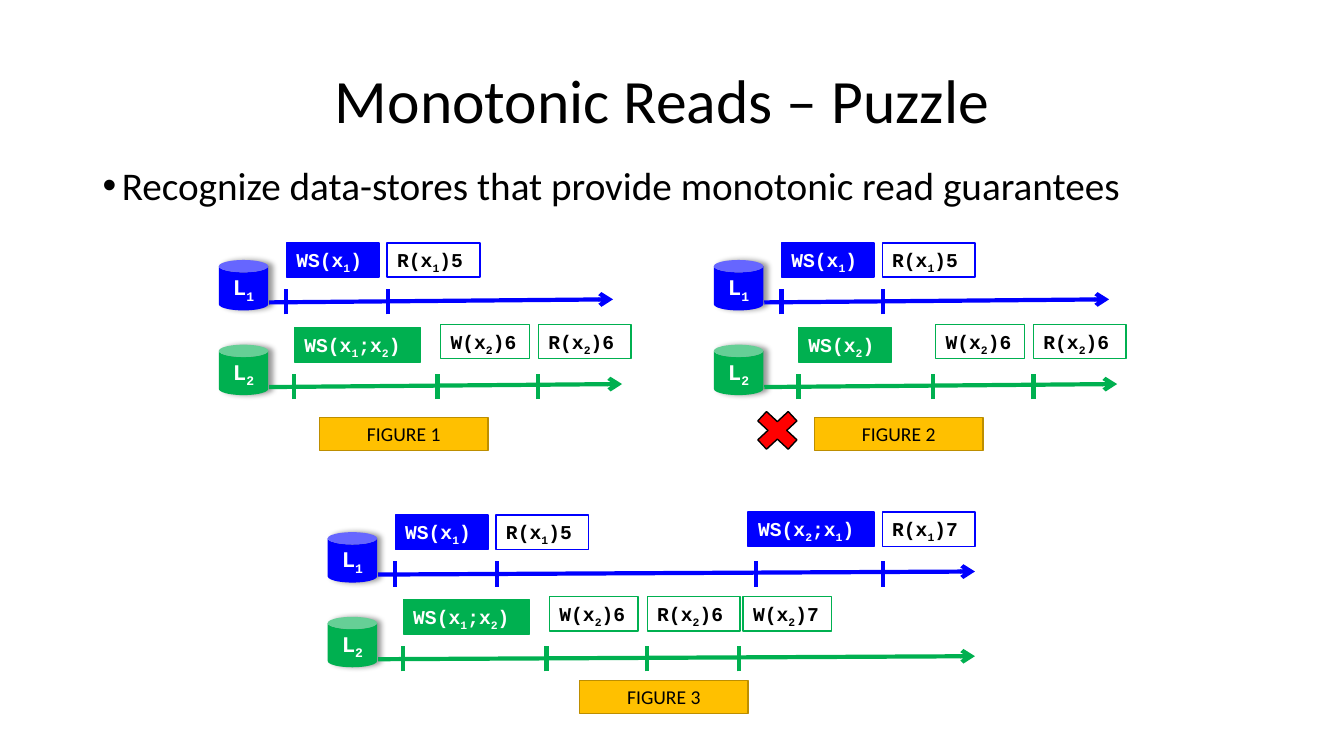
import pptx
import pptx.dml.color
import pptx.enum.shapes
import pptx.enum.text
import pptx.oxml.ns
import pptx.util
from lxml import etree
from pptx.dml.color import RGBColor
from pptx.enum.shapes import MSO_SHAPE
from pptx.util import Inches

BLUE = RGBColor(0x00, 0x00, 0xFF)
GREEN = RGBColor(0x00, 0xB0, 0x50)
GOLD = RGBColor(0xFF, 0xC0, 0x00)
DARK_GOLD = RGBColor(0xBD, 0x8E, 0x00)
RED = RGBColor(0xFF, 0x00, 0x00)
BLACK = RGBColor(0x00, 0x00, 0x00)
WHITE = RGBColor(0xFF, 0xFF, 0xFF)

# Each operation: label ("_" marks a subscript digit), box offset, tick offset
L1_START = [("WS(x_1)", 0.67, 0.67), ("R(x_1)5", 1.67, 1.68)]
L2_END = [("W(x_2)6", 2.2, 2.17), ("R(x_2)6", 3.17, 3.17)]
L2_MERGED = [("WS(x_1;x_2)", 0.75, 0.75)] + L2_END
L2_ALONE = [("WS(x_2)", 0.84, 0.84)] + L2_END
L1_LATE = [("WS(x_2;x_1)", 4.17, 4.25), ("R(x_1)7", 5.5, 5.51)]
L2_LATE = [("W(x_2)7", 4.12, 4.08)]

# Each figure: left, top, L1 operations and arrow end, L2 operations and
# arrow end, caption left and top
FIGURES = [
    (2.17, 2.58, L1_START, 3.91, L2_MERGED, 4.0, 3.17, 4.14),
    (7.08, 2.58, L1_START, 3.92, L2_ALONE, 4.0, 8.08, 4.14),
    (3.25, 5.28, L1_START + L1_LATE, 6.42, L2_MERGED + L2_LATE, 6.42, 5.75, 6.75),
]
ROW_GAP = 0.84


def add_xml(parent, tag, **attributes):
    return etree.SubElement(parent, pptx.oxml.ns.qn(tag), attributes)


def style_span(span, size, font, color, bold=False):
    span.font.size = pptx.util.Pt(size)
    span.font.name = font
    span.font.color.rgb = color
    span.font.bold = bold


def add_text_box(slide, text, left, top, width, height, size):
    box = slide.shapes.add_textbox(Inches(left), Inches(top), Inches(width), Inches(height))
    box.text_frame.word_wrap = True
    para = box.text_frame.paragraphs[0]
    para.text = text
    para.line_spacing = 0.9
    style_span(para.runs[0], size, "Calibri", BLACK)
    return box


def add_block(shapes, kind, left, top, width, height, fill, line=None):
    block = shapes.add_shape(kind, Inches(left), Inches(top), Inches(width), Inches(height))
    block.shadow.inherit = False
    block.fill.solid()
    block.fill.fore_color.rgb = fill
    if line is None:
        block.line.fill.background()
    else:
        block.line.color.rgb = line
        block.line.width = pptx.util.Pt(1)
    return block


def write_label(block, label, size, color):
    """Write a label in which each digit after "_" is a subscript."""
    para = block.text_frame.paragraphs[0]
    first, *rest = label.split("_")
    parts = [(first, False)]
    for piece in rest:
        parts += [(piece[0], True), (piece[1:], False)]
    for text, lowered in parts:
        if text:
            span = para.add_run()
            span.text = text
            style_span(span, size, "Courier New", color, bold=True)
            if lowered:
                span.font._element.set("baseline", "-25000")
    return para


def add_line(shapes, x1, y1, x2, y2, color, arrow=False):
    line = shapes.add_connector(
        pptx.enum.shapes.MSO_CONNECTOR.STRAIGHT, Inches(x1), Inches(y1), Inches(x2), Inches(y2))
    line.line.color.rgb = color
    line.line.width = pptx.util.Pt(3)
    if arrow:
        add_xml(line.line._get_or_add_ln(), "a:tailEnd", type="arrow")
    add_xml(line._element.spPr, "a:effectLst")


def add_store(shapes, name, left, top, color):
    can = add_block(shapes, MSO_SHAPE.CAN, left, top, 0.49, 0.5, color)
    effects = can._element.spPr.find(pptx.oxml.ns.qn("a:effectLst"))
    shadow = add_xml(effects, "a:outerShdw", blurRad=str(pptx.util.Pt(4)),
                     dist=str(pptx.util.Pt(3)), dir="0", algn="l", rotWithShape="0")
    shade = add_xml(shadow, "a:srgbClr", val="000000")
    add_xml(shade, "a:alpha", val="40000")
    can.text_frame.vertical_anchor = pptx.enum.text.MSO_ANCHOR.MIDDLE
    para = write_label(can, name, 16, WHITE)
    para.alignment = pptx.enum.text.PP_ALIGN.CENTER


def add_operation(shapes, label, left, top, color):
    is_write_set = label.startswith("WS")
    width = 1.25 if ";" in label else 0.88 if label.startswith("W(") else 0.92
    box = add_block(shapes, MSO_SHAPE.RECTANGLE, left, top, width, 0.34,
                    color if is_write_set else WHITE, color)
    box.text_frame.vertical_anchor = pptx.enum.text.MSO_ANCHOR.TOP
    para = write_label(box, label, 14, WHITE if is_write_set else BLACK)
    para.alignment = pptx.enum.text.PP_ALIGN.LEFT


def add_timeline(shapes, name, left, top, color, operations, end):
    add_store(shapes, name, left, top, color)
    add_line(shapes, left + 0.5, top + 0.42, left + end, top + 0.39, color, arrow=True)
    for label, offset, tick in operations:
        # Later operations sit slightly higher, following the slanted arrow
        rise = 0.17 if offset < 2 else 0.2
        add_operation(shapes, label, left + offset, top - rise, color)
        add_line(shapes, left + tick, top + 0.54, left + tick, top + 0.29, color)


def add_caption(shapes, text, left, top):
    caption = add_block(shapes, MSO_SHAPE.RECTANGLE, left, top, 1.67, 0.33, GOLD, DARK_GOLD)
    caption.text_frame.vertical_anchor = pptx.enum.text.MSO_ANCHOR.MIDDLE
    para = caption.text_frame.paragraphs[0]
    para.text = text
    para.alignment = pptx.enum.text.PP_ALIGN.CENTER
    style_span(para.runs[0], 14, "Calibri", BLACK)


def main():
    deck = pptx.Presentation()
    deck.slide_width, deck.slide_height = Inches(13.33), Inches(7.5)
    page = deck.slides.add_slide(deck.slide_layouts[6])

    # Title
    title = add_text_box(page, "Monotonic Reads – Puzzle", 0.92, 0.3, 11.5, 1.45, 44)
    title.width = Inches(11.3)
    title.text_frame.vertical_anchor = pptx.enum.text.MSO_ANCHOR.MIDDLE
    title.text_frame.paragraphs[0].alignment = pptx.enum.text.PP_ALIGN.CENTER

    # Bulleted task
    task = add_text_box(page, "Recognize data-stores that provide monotonic read guarantees",
                        0.92, 1.6, 11.3, 5.5, 28)
    settings = task.text_frame.paragraphs[0]._p.get_or_add_pPr()
    settings.set("marL", str(Inches(0.19)))
    settings.set("indent", str(Inches(-0.19)))
    add_xml(settings, "a:buFont", typeface="Arial")
    add_xml(settings, "a:buChar", char="•")

    # Three figures, each with two data stores
    for number, figure in enumerate(FIGURES, start=1):
        left, top, l1_steps, l1_end, l2_steps, l2_end, caption_left, caption_top = figure
        shapes = page.shapes.add_group_shape().shapes
        add_timeline(shapes, "L_1", left, top, BLUE, l1_steps, l1_end)
        add_timeline(shapes, "L_2", left, top + ROW_GAP, GREEN, l2_steps, l2_end)
        add_caption(shapes, f"FIGURE {number}", caption_left, caption_top)

    # Cross beside the figure without the guarantee
    add_block(page.shapes, MSO_SHAPE.MATH_MULTIPLY, 7.42, 4.0, 0.58, 0.54, RED, BLACK)

    deck.save("out.pptx")


if __name__ == "__main__":
    main()
